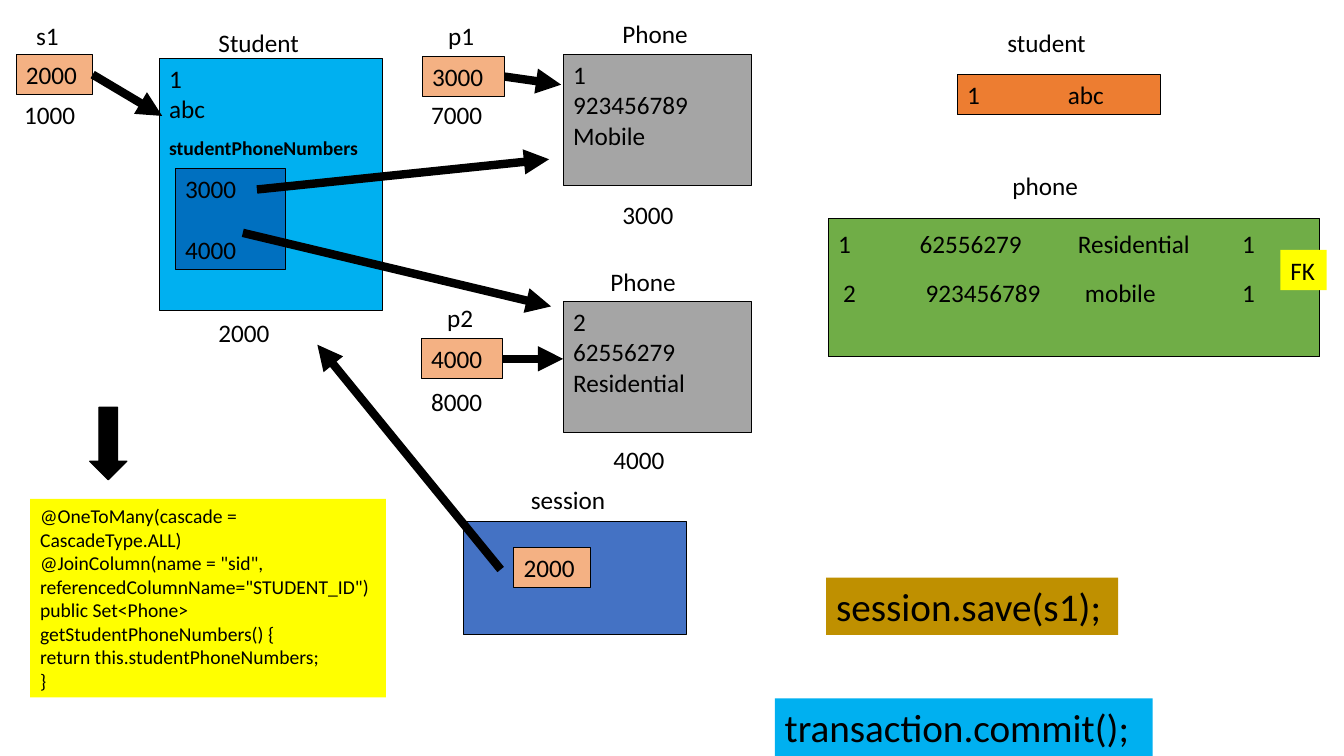
from dataclasses import dataclass

from lxml.etree import SubElement
from pptx import Presentation
from pptx.dml.color import RGBColor
from pptx.enum.shapes import MSO_CONNECTOR, MSO_SHAPE
from pptx.enum.text import MSO_ANCHOR, PP_ALIGN
from pptx.oxml.ns import qn
from pptx.util import Pt

PX = 9144  # 100 px to the inch
RIGHT_SIDE = 3


@dataclass(frozen=True)
class Theme:
    font: str = "Calibri"
    ink: str = "000000"
    sky: str = "00B0F0"
    deep_blue: str = "0070C0"
    session_blue: str = "4472C4"
    gray: str = "A5A5A5"
    peach: str = "F4B183"
    orange: str = "ED7D31"
    green: str = "70AD47"
    yellow: str = "FFFF00"
    gold: str = "BF9000"
    body: int = 18
    small: int = 14
    call: int = 28
    outline: float = 0.75
    arrow: int = 6


THEME = Theme()


def emu(*lengths):
    return [length * PX for length in lengths]


def color(code):
    return RGBColor.from_string(code)


def write_text(shape, text, *, size=THEME.body, bold=False, tabs=(),
               line_spacing=None, gap=0, after=0):
    """Fill a shape; gap is the points before each later paragraph, tabs holds px stops per paragraph."""
    frame = shape.text_frame
    frame.word_wrap = True
    frame.vertical_anchor = MSO_ANCHOR.TOP
    for index, line in enumerate(text.split("\n")):
        paragraph = frame.add_paragraph() if index else frame.paragraphs[0]
        if tabs:
            stops = SubElement(paragraph._p.get_or_add_pPr(), qn("a:tabLst"))
            for stop in tabs[index]:
                SubElement(stops, qn("a:tab"), pos=str(stop * PX), algn="l")
        paragraph.alignment = PP_ALIGN.LEFT
        if line_spacing:
            paragraph.line_spacing = line_spacing
        if gap and index:
            paragraph.space_before = Pt(gap)
        if after:
            paragraph.space_after = Pt(after)
        run = paragraph.add_run()
        run.text = line
        run.font.name = THEME.font
        run.font.size = Pt(size)
        run.font.bold = bold
        run.font.color.rgb = color(THEME.ink)


def add_box(slide, bounds, fill, text="", *, outlined=True,
            preset=MSO_SHAPE.RECTANGLE, **text_format):
    box = slide.shapes.add_shape(preset, *emu(*bounds))
    box.shadow.inherit = False
    box.fill.solid()
    box.fill.fore_color.rgb = color(fill)
    if outlined:
        box.line.color.rgb = color(THEME.ink)
        box.line.width = Pt(THEME.outline)
    else:
        box.line.fill.background()
    if text:
        write_text(box, text, **text_format)
    return box


def add_label(slide, left, top, text, *, width=108, height=40, **text_format):
    label = slide.shapes.add_textbox(*emu(left, top, width, height))
    write_text(label, text, **text_format)


def add_arrow(slide, start, end, source=None):
    """Draw a thick arrow, joined to the right side of source when one is given."""
    arrow = slide.shapes.add_connector(MSO_CONNECTOR.STRAIGHT, *emu(*start, *end))
    if source is not None:
        arrow.begin_connect(source, RIGHT_SIDE)
    arrow.line.color.rgb = color(THEME.ink)
    arrow.line.width = Pt(THEME.arrow)
    SubElement(arrow.line._get_or_add_ln(), qn("a:tailEnd"), type="triangle")
    SubElement(arrow._element.spPr, qn("a:effectLst"))


def add_objects(slide):
    add_box(slide, (158, 58, 222, 250), THEME.sky, "1\nabc")
    add_box(slide, (174, 167, 109, 100), THEME.deep_blue, "3000\n4000", gap=22)
    for top, fields in ((54, "1\n923456789\nMobile"),
                        (299, "2\n62556279\nResidential")):
        add_box(slide, (559, top, 187, 130), THEME.gray, fields)
    add_box(slide, (460, 517, 221, 113), THEME.session_blue)
    add_box(slide, (510, 543, 76, 40), THEME.peach, "2000")

    for left, top, text in (
        (207, 22, "Student"), (207, 310, "2000"),
        (608, 13, "Phone"), (608, 193, "3000"),
        (596, 259, "Phone"), (599, 436, "4000"),
        (26, 15, "s1"), (14, 94, "1000"),
        (435, 15, "p1"), (418, 94, "7000"),
        (434, 295, "p2"), (418, 378, "8000"),
        (517, 476, "session"),
    ):
        add_label(slide, left, top, text)
    add_label(slide, 158, 130, "studentPhoneNumbers", width=260, height=34,
              size=THEME.small, bold=True)


def add_references(slide):
    for bounds, address, end in (
        ((16, 54, 76, 40), "2000", (161, 115)),
        ((419, 56, 82, 40), "3000", (557, 84)),
        ((418, 336, 81, 40), "4000", (559, 356)),
    ):
        reference = add_box(slide, bounds, THEME.peach, address)
        left, top, width, height = bounds
        add_arrow(slide, (left + width, top + height // 2), end, reference)
    for start, end in (((255, 188), (545, 158)),
                       ((241, 231), (547, 304)),
                       ((497, 565), (315, 342))):
        add_arrow(slide, start, end)


def add_database_rows(slide):
    add_label(slide, 990, 22, "student", width=112)
    add_box(slide, (950, 74, 202, 40), THEME.orange, "1\tabc", tabs=[(100,)])
    add_label(slide, 995, 164, "phone", width=102)
    add_box(slide, (822, 217, 488, 137), THEME.green,
            "1\t62556279\tResidential\t1\n\t2\t923456789\tmobile\t1",
            tabs=[(81, 238, 401), (5, 87, 245, 401)], line_spacing=1.15, after=10)
    add_box(slide, (1271, 248, 46, 40), THEME.yellow, "FK", outlined=False)


def add_code(slide):
    add_box(slide, (89, 404, 37, 72), THEME.ink, preset=MSO_SHAPE.DOWN_ARROW)
    mapping = """@OneToMany(cascade = CascadeType.ALL)
@JoinColumn(name = "sid", referencedColumnName="STUDENT_ID")
public Set<Phone> getStudentPhoneNumbers() {
return this.studentPhoneNumbers;
}"""
    add_box(slide, (30, 495, 353, 197), THEME.yellow, mapping,
            outlined=False, size=THEME.small)
    add_box(slide, (820, 573, 290, 57), THEME.gold, "session.save(s1);",
            outlined=False, size=THEME.call)
    add_box(slide, (769, 693, 375, 57), THEME.sky, "transaction.commit();",
            outlined=False, size=THEME.call)


def main():
    presentation = Presentation()
    presentation.slide_width, presentation.slide_height = emu(1334, 750)
    slide = presentation.slides.add_slide(presentation.slide_layouts[6])
    add_objects(slide)
    add_references(slide)
    add_database_rows(slide)
    add_code(slide)
    presentation.save("out.pptx")


if __name__ == "__main__":
    main()
